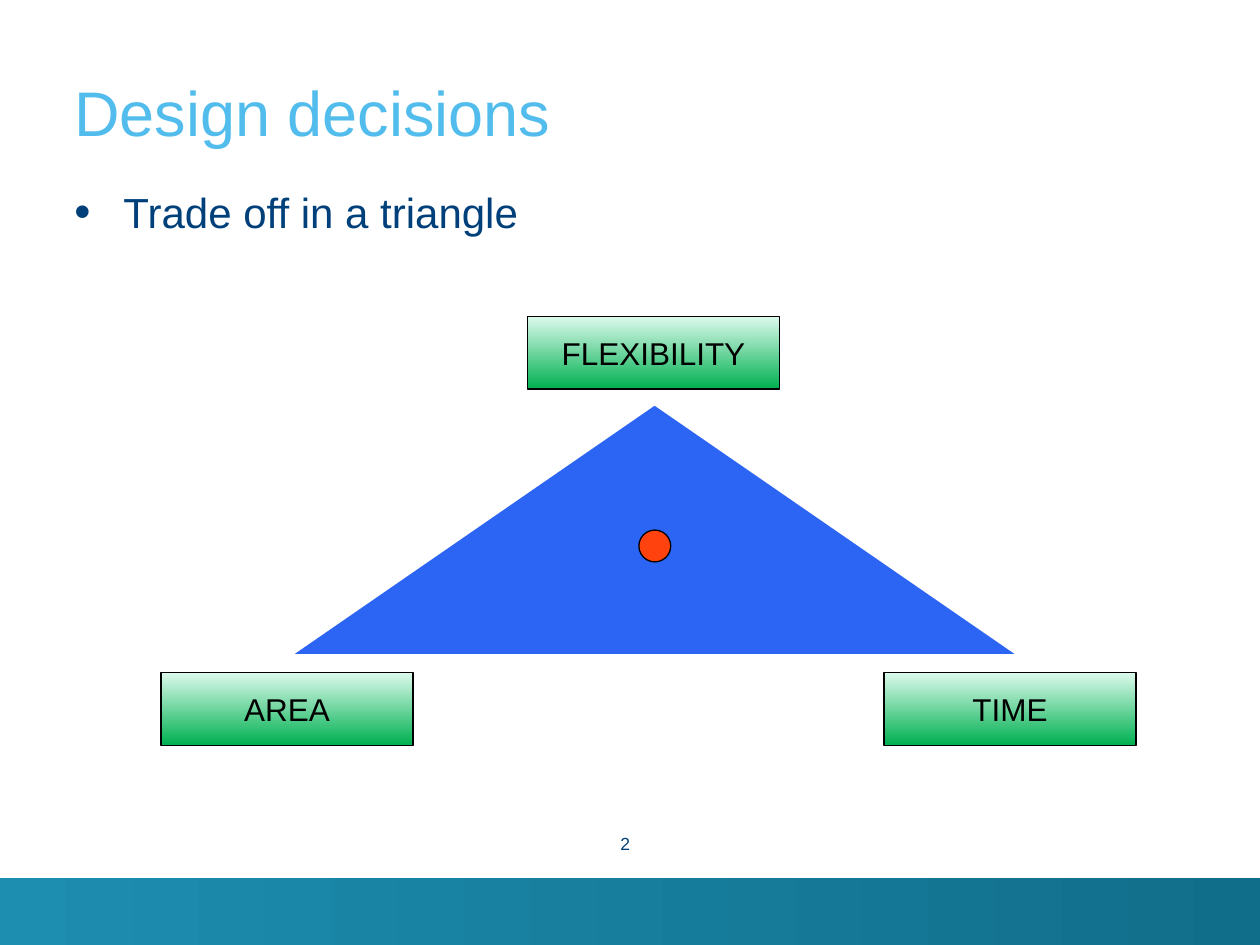
from lxml import etree
from pptx import Presentation
from pptx.dml.color import RGBColor
from pptx.enum import shapes, text
from pptx.oxml.ns import qn
from pptx.util import Pt

SKY = RGBColor(0x52, 0xBD, 0xEC)
NAVY = RGBColor(0x00, 0x40, 0x7A)
BLUE = RGBColor(0x2C, 0x64, 0xF4)
RED = RGBColor(0xFF, 0x42, 0x0E)
BLACK = RGBColor(0, 0, 0)
MINT = RGBColor(0xDD, 0xFA, 0xED)
GREEN = RGBColor(0x00, 0xB0, 0x50)
TEAL = RGBColor(0x1D, 0x8D, 0xB0)
DARK_TEAL = RGBColor(0x11, 0x6E, 0x8A)
SHAPE = shapes.MSO_SHAPE
ALIGN = text.PP_ALIGN
ANCHOR = text.MSO_ANCHOR


class Deck:
    """Draws styled elements on the current slide, measured in points."""

    font = "Arial"
    line_width = 0.74

    def __init__(self, width, height):
        self.prs = Presentation()
        self.prs.slide_width, self.prs.slide_height = Pt(width), Pt(height)
        self.s = self.prs.slides.add_slide(self.prs.slide_layouts[6])

    def set_text(self, tf, words, size, color, align):
        p = tf.paragraphs[0]
        p.text, p.alignment = words, align
        p.font.name, p.font.size = self.font, Pt(size)
        p.font.color.rgb = color
        return p

    def label(self, box, words, size, color, align=ALIGN.LEFT, anchor=ANCHOR.TOP):
        tf = self.s.shapes.add_textbox(*map(Pt, box)).text_frame
        tf.word_wrap, tf.vertical_anchor = True, anchor
        tf.margin_left = tf.margin_top = tf.margin_right = tf.margin_bottom = 0
        return self.set_text(tf, words, size, color, align)

    def bullet(self, box, words, size, color, indent):
        p = self.label(box, words, size, color)
        p.space_before = Pt(5.8)
        pPr = p._p.get_or_add_pPr()
        pPr.set("marL", str(Pt(indent)))
        pPr.set("indent", str(-Pt(indent)))
        marks = (("a:buSzPct", "val", "110000"),
                 ("a:buFont", "typeface", self.font),
                 ("a:buChar", "char", "•"))
        at = pPr.index(pPr.find(qn("a:spcBef"))) + 1
        for i, (tag, key, value) in enumerate(marks):
            mark = etree.Element(qn(tag))
            mark.set(key, value)
            pPr.insert(at + i, mark)

    def shape(self, kind, box, fill, line=None):
        sp = self.s.shapes.add_shape(kind, *map(Pt, box))
        sp.shadow.inherit = False
        if isinstance(fill, RGBColor):
            sp.fill.solid()
            sp.fill.fore_color.rgb = fill
        else:
            *colors, angle = fill
            sp.fill.gradient()
            sp.fill.gradient_angle = angle
            for stop, color in zip(sp.fill.gradient_stops, colors):
                stop.color.rgb = color
        if line is None:
            sp.line.fill.background()
        else:
            sp.line.color.rgb, sp.line.width = line, Pt(self.line_width)
        return sp

    def corner(self, left, top, words):
        sp = self.shape(SHAPE.RECTANGLE, (left, top, 144, 41.6), (MINT, GREEN, 270), BLACK)
        tf = sp.text_frame
        tf.vertical_anchor = ANCHOR.MIDDLE
        self.set_text(tf, words, 18, BLACK, ALIGN.CENTER)


deck = Deck(720, 540)
deck.shape(SHAPE.RECTANGLE, (0, 501.8, 720, 38.2), (TEAL, DARK_TEAL, 0))
deck.shape(SHAPE.ISOSCELES_TRIANGLE, (168.5, 231.9, 411.2, 141.8), BLUE)
deck.label((42.5, 14.4, 656, 70.6), "Design decisions", 36, SKY, anchor=ANCHOR.BOTTOM)
deck.bullet((42.5, 106.5, 656, 348.5), "Trade off in a triangle", 24, NAVY, 28.1)
deck.shape(SHAPE.OVAL, (365.1, 302.9, 18.2, 18.2), RED, BLACK)
for left, top, words in ((301.5, 180.8, "FLEXIBILITY"),
                         (505.2, 384.3, "TIME"),
                         (92, 384.3, "AREA")):
    deck.corner(left, top, words)
deck.label((286.6, 475.9, 73.4, 22.3), "2", 10, NAVY, ALIGN.RIGHT)
deck.prs.save("out.pptx")
